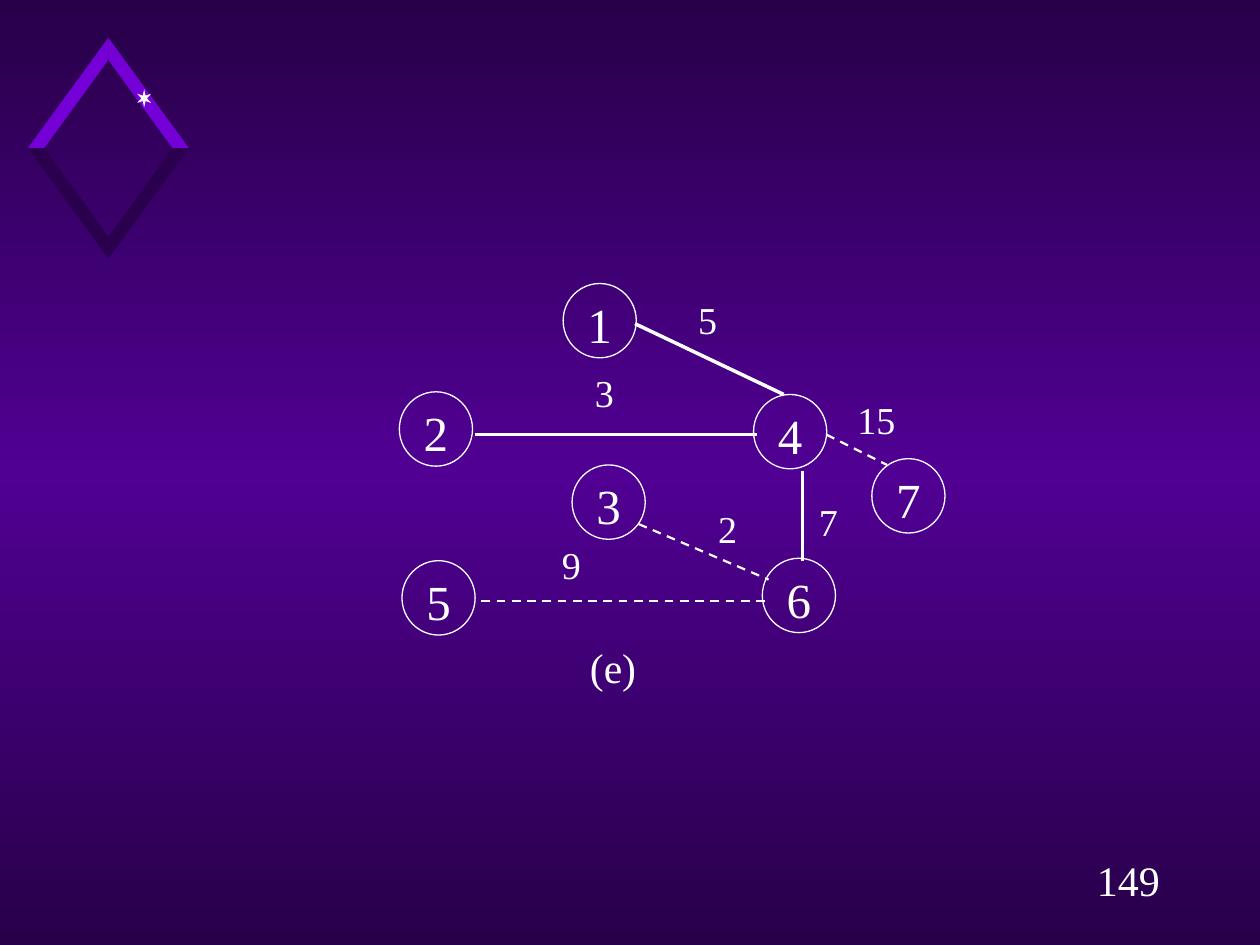
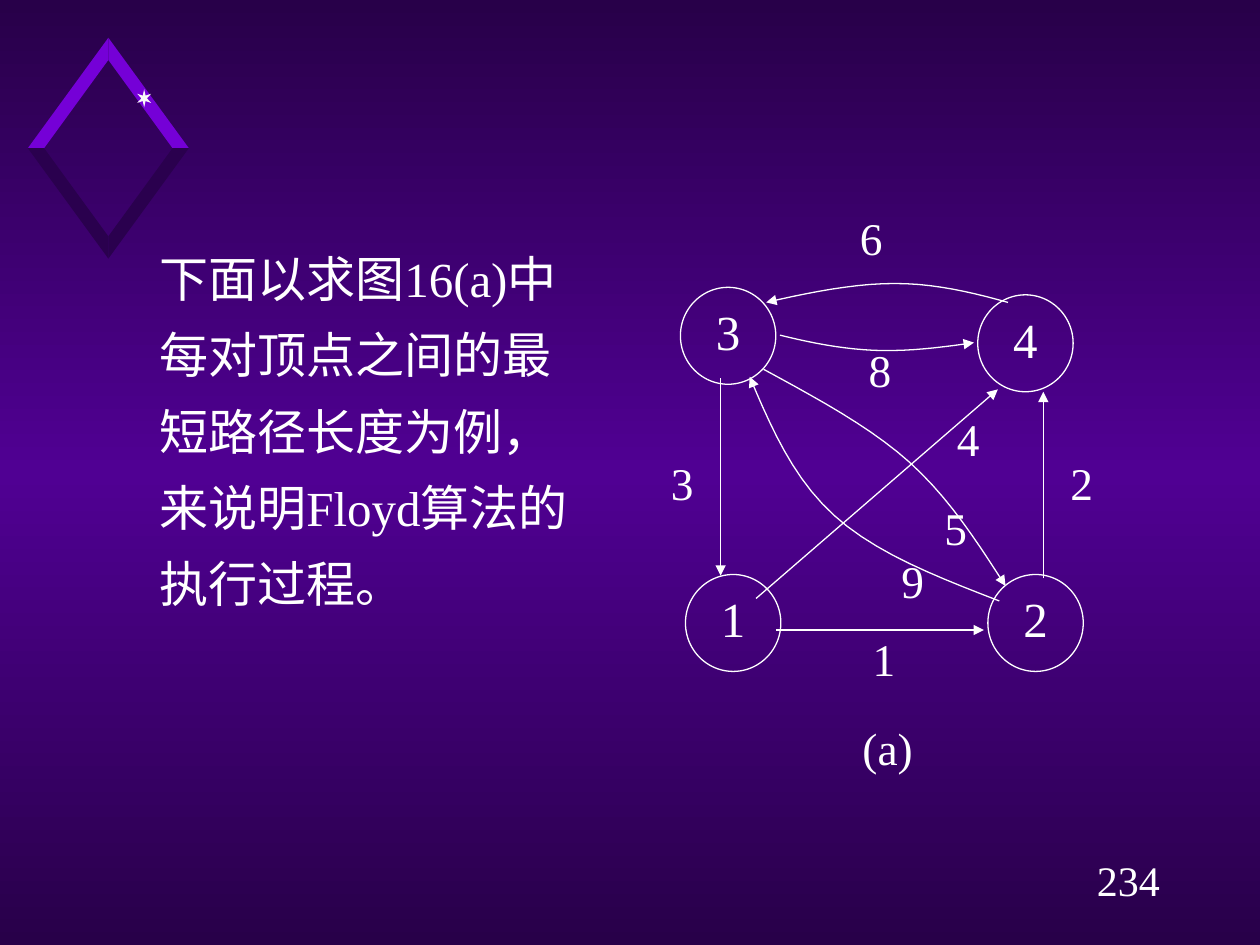
"""Build two slides on graph algorithms: a spanning tree and a directed graph."""
from copy import deepcopy
from math import cos, pi, sin

from lxml import etree
from pptx import Presentation
from pptx.dml.color import RGBColor
from pptx.enum import dml, shapes, text
from pptx.oxml.ns import qn
from pptx.util import Pt

WHITE = RGBColor(0xFF, 0xFF, 0xFF)
NIGHT = RGBColor(0x28, 0x00, 0x49)
VIOLET = RGBColor(0x50, 0x00, 0x93)
BRIGHT = RGBColor(0x75, 0x00, 0xD7)
SHADE = RGBColor(0x2A, 0x00, 0x4E)
SPARK = RGBColor(0xF9, 0xF9, 0xF9)
LATIN, CHINESE = "Times New Roman", "Noto Sans CJK SC"

TREE_NODES = [("1", 321.8, 162), ("2", 228.2, 223.9), ("7", 498.2, 262.1),
              ("4", 430.6, 225.4), ("5", 229.7, 320.4), ("3", 326.9, 265.7),
              ("6", 435.6, 319)]
TREE_WEIGHTS = [("9", 307.4, 309.6), ("7", 454.3, 285.1), ("2", 396.7, 288.7),
                ("15", 481.7, 226.8), ("3", 326.2, 211), ("5", 385.2, 169.2)]
TREE_EDGES = [(362.9, 185, 447.8, 225.4), (458.6, 269.3, 458.6, 320.4),
              (271.4, 248.4, 432.7, 248.4)]
DASHED_EDGES = [(365, 299.5, 439.2, 331.2), (472.3, 248.4, 506.9, 265.7),
                (275, 343.4, 439.2, 343.4)]

PATH_NODES = [("3", 388.8, 164.2), ("1", 391.7, 328.3), ("4", 558.7, 168.5),
              ("2", 564.5, 328.3)]
PATH_WEIGHTS = [("4", 529.2, 234.7), ("5", 522, 285.8), ("9", 497.5, 316.1),
                ("1", 481, 360.7), ("2", 594, 259.9), ("3", 365.8, 259.9),
                ("8", 478.8, 195.8), ("6", 473.8, 120.2), ("(a)", 483.1, 411.8)]
PATH_EDGES = [(411.8, 216, 411.8, 329), (443.5, 360, 562.3, 360),
              (596.2, 330.5, 596.2, 223.9), (432, 342, 570.2, 222.5)]
PATH_CURVES = [
    [(576, 172.8), (555.1, 167), (534.2, 162), (511.2, 162),
     (488.2, 162), (463, 167), (437.8, 172.8)],
    [(445.7, 191.5), (463, 195.8), (481, 199.4), (499.7, 200.2),
     (518.4, 200.9), (537.1, 198.7), (556.6, 195.8)],
    [(571, 343.4), (535.7, 329.8), (500.4, 316.1), (476.6, 294.5),
     (452.9, 272.9), (440.6, 244.1), (428.4, 215.3)],
    [(436.3, 211), (466.6, 227.5), (497.5, 244.1), (519.8, 264.2),
     (542.9, 285.1), (558.7, 310.3), (574.6, 334.8)],
]
EXPLANATION = [("下面以求图", CHINESE), ("16(a)", LATIN),
               ("中每对顶点之间的最短路径长度为例，来说明", CHINESE),
               ("Floyd", LATIN), ("算法的执行过程。", CHINESE)]


def paint_background(master):
    """Give the master a vertical dark-violet-dark gradient."""
    fill = master.background.fill
    fill.gradient()
    fill.gradient_angle = 270
    stops = master.element.find(".//" + qn("a:gsLst"))
    stops.insert(1, deepcopy(stops[0]))
    for stop, color, position in zip(fill.gradient_stops, (NIGHT, VIOLET, NIGHT),
                                     (0, 0.5, 1)):
        stop.color.rgb = color
        stop.position = position


def format_run(run, size, font=LATIN):
    """Set font, size and white colour, also for East Asian glyphs."""
    run.font.name = font
    run.font.size = Pt(size)
    run.font.color.rgb = WHITE
    if font == CHINESE:
        latin = run.font._element.find(qn("a:latin"))
        east_asian = etree.Element(qn("a:ea"), typeface=font)
        latin.addnext(east_asian)


def set_frame(frame, inset_x=0, inset_y=0):
    """Wrap text from the top of the frame with the given insets."""
    frame.word_wrap = True
    frame.vertical_anchor = text.MSO_ANCHOR.TOP
    frame.margin_left = frame.margin_right = Pt(inset_x)
    frame.margin_top = frame.margin_bottom = Pt(inset_y)


def write_centred(frame, words, size):
    """Write one centred line."""
    frame.text = words
    paragraph = frame.paragraphs[0]
    paragraph.alignment = text.PP_ALIGN.CENTER
    format_run(paragraph.runs[0], size)


def add_label(slide, words, box, size, inset_x=0, inset_y=0):
    """Add a centred text label."""
    frame = slide.shapes.add_textbox(*map(Pt, box)).text_frame
    set_frame(frame, inset_x, inset_y)
    write_centred(frame, words, size)


def add_node(slide, number, box):
    """Add a numbered outline circle."""
    circle = slide.shapes.add_shape(shapes.MSO_SHAPE.OVAL, *map(Pt, box))
    circle.shadow.inherit = False
    circle.fill.background()
    style_line(circle, 0.75)
    set_frame(circle.text_frame)
    write_centred(circle.text_frame, number, 28)


def style_line(edge, width, dashed=False, arrow=False):
    """Make a white line, with dashes or an arrowhead if asked."""
    edge.line.color.rgb = WHITE
    edge.line.width = Pt(width)
    if dashed:
        edge.line.dash_style = dml.MSO_LINE.DASH
    if arrow:
        outline = edge._element.spPr.find(qn("a:ln"))
        etree.SubElement(outline, qn("a:tailEnd"), type="triangle")


def add_edge(slide, ends, width, dashed=False, arrow=False):
    """Connect two points with a straight line."""
    edge = slide.shapes.add_connector(shapes.MSO_CONNECTOR.STRAIGHT, *map(Pt, ends))
    style_line(edge, width, dashed, arrow)
    etree.SubElement(edge._element.spPr, qn("a:effectLst"))


def add_outline(slide, points, close=True):
    """Build a freeform through points."""
    corners = [(Pt(x), Pt(y)) for x, y in points]
    builder = slide.shapes.build_freeform(*corners[0])
    builder.add_line_segments(corners[1:], close=close)
    outline = builder.convert_to_shape()
    outline.shadow.inherit = False
    return outline


def add_patch(slide, points, color):
    """Add a filled polygon without a line."""
    patch = add_outline(slide, points)
    patch.fill.solid()
    patch.fill.fore_color.rgb = color
    patch.line.fill.background()


def bezier_points(controls, steps=10):
    """Sample a chain of cubic curves."""
    points = [controls[0]]
    for first in range(0, len(controls) - 1, 3):
        for step in range(1, steps + 1):
            t = step / steps
            weights = ((1 - t) ** 3, 3 * t * (1 - t) ** 2, 3 * t * t * (1 - t), t ** 3)
            segment = controls[first:first + 4]
            points.append(tuple(sum(w * p[axis] for w, p in zip(weights, segment))
                                for axis in (0, 1)))
    return points


def add_curved_edge(slide, controls):
    """Add a curved arrow."""
    curve = add_outline(slide, bezier_points(controls), close=False)
    curve.fill.background()
    style_line(curve, 0.75, arrow=True)


def add_emblem(slide):
    """Draw the hollow diamond with its spark."""
    quarter = [(0, 50.4), (0, 63.1), (46, 0), (36.7, 0)]
    for vertical, color in ((-1, BRIGHT), (1, SHADE)):
        for side in (1, -1):
            add_patch(slide, [(61.9 + side * x, 84.7 + vertical * y)
                              for x, y in quarter], color)
    spark = []
    for tip in range(12):
        radius_x, radius_y = (4.6, 5.2) if tip % 2 else (1.6, 1.8)
        angle = tip * pi / 6
        spark.append((82.4 + radius_x * cos(angle), 56.2 + radius_y * sin(angle)))
    add_patch(slide, spark, SPARK)


def add_page(deck, number):
    """Add a slide with the emblem and page number."""
    slide = deck.slides.add_slide(deck.slide_layouts[6])
    add_emblem(slide)
    add_label(slide, number, (617.8, 484.6, 54, 36), 24, 7.2, 3.6)
    return slide


def add_explanation(slide):
    """Add the paragraph that introduces the example."""
    frame = slide.shapes.add_textbox(Pt(84.2), Pt(128.2), Pt(252), Pt(226)).text_frame
    set_frame(frame, 7.2, 3.6)
    paragraph = frame.paragraphs[0]
    paragraph.line_spacing = 1.3
    for words, font in EXPLANATION:
        run = paragraph.add_run()
        run.text = words
        format_run(run, 28, font)


def add_graph(slide, nodes, node_size, weights, weight_size, font_size):
    """Add the weights and nodes of a graph."""
    for words, left, top in weights:
        add_label(slide, words, (left, top, *weight_size), font_size)
    for number, left, top in nodes:
        add_node(slide, number, (left, top, *node_size))


def main():
    """Build and save the deck."""
    deck = Presentation()
    deck.slide_width, deck.slide_height = Pt(720), Pt(540)
    paint_background(deck.slide_master)

    tree = add_page(deck, "149")
    add_graph(tree, TREE_NODES, (41.8, 42.5), TREE_WEIGHTS, (38.2, 28.1), 21.7)
    for ends in TREE_EDGES:
        add_edge(tree, ends, 2)
    for ends in DASHED_EDGES:
        add_edge(tree, ends, 1.25, dashed=True)
    add_label(tree, "(e)", (317.5, 366.5, 65.5, 29.5), 23.8)

    paths = add_page(deck, "234")
    add_explanation(paths)
    add_graph(paths, PATH_NODES, (54.5, 55.4), PATH_WEIGHTS, (48.2, 32.2), 25.9)
    for ends in PATH_EDGES:
        add_edge(paths, ends, 0.75, arrow=True)
    for controls in PATH_CURVES:
        add_curved_edge(paths, controls)
    deck.save("out.pptx")


if __name__ == "__main__":
    main()
